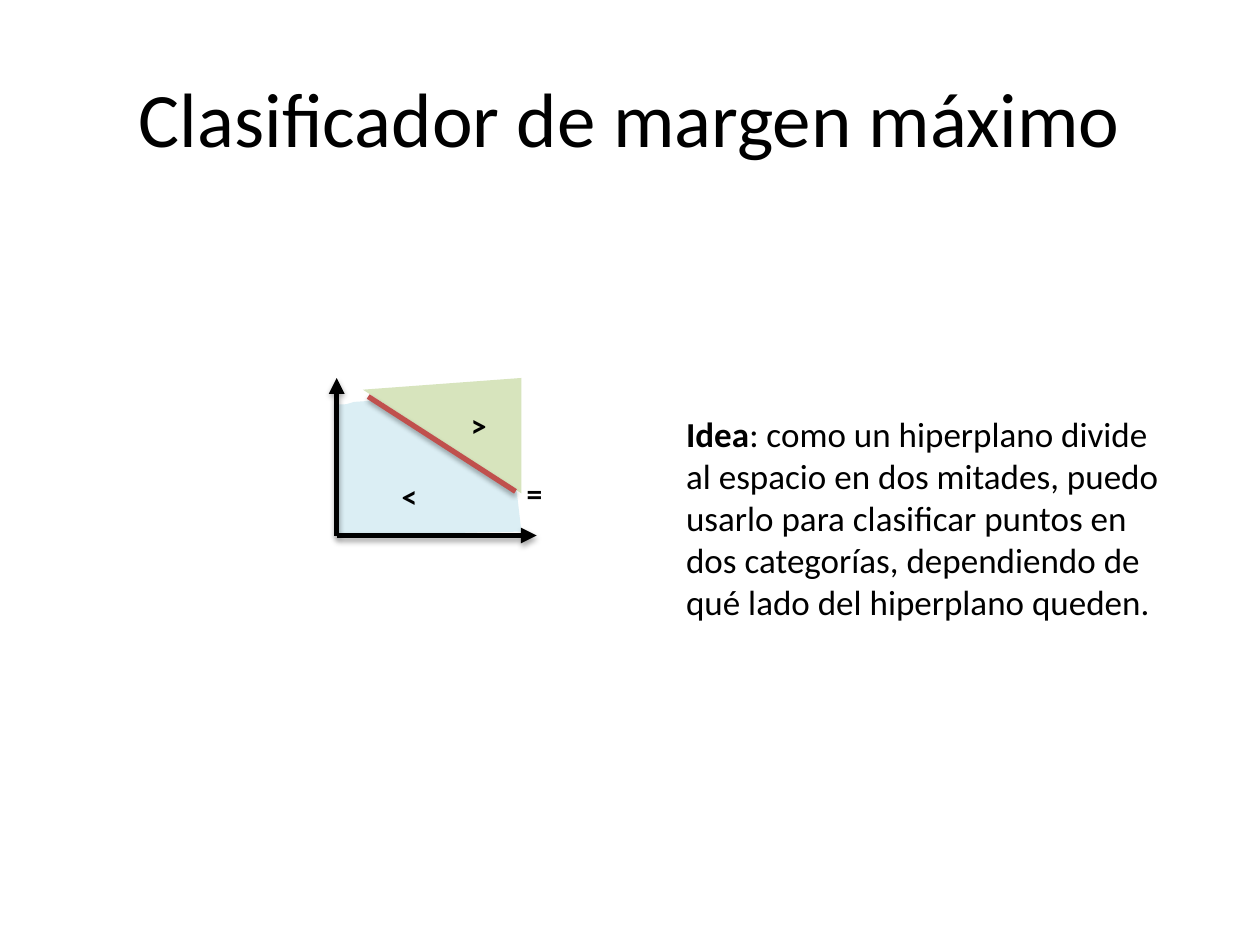
from dataclasses import dataclass

from lxml.etree import SubElement
from pptx import Presentation
from pptx.dml.color import RGBColor as RGB
from pptx.enum.shapes import MSO_CONNECTOR as Connector
from pptx.enum.text import MSO_ANCHOR as Anchor, MSO_AUTO_SIZE as AutoSize, PP_ALIGN as Align
from pptx.oxml import parse_xml
from pptx.oxml.ns import nsdecls, qn
from pptx.util import Pt


@dataclass(frozen=True)
class Theme:
    font: str = "Calibri"
    ink: RGB = RGB(0x00, 0x00, 0x00)
    above: RGB = RGB(0xD7, 0xE4, 0xBD)
    below: RGB = RGB(0xDB, 0xEE, 0xF4)
    boundary: RGB = RGB(0xC0, 0x50, 0x4D)
    title: int = 44
    idea: int = 20
    sign: int = 18


theme = Theme()

SHADOW = (
    f'<a:effectLst {nsdecls("a")}>'
    '<a:outerShdw blurRad="40000" dist="23000" dir="5400000" rotWithShape="0">'
    '<a:srgbClr val="000000"><a:alpha val="35000"/></a:srgbClr>'
    '</a:outerShdw></a:effectLst>'
)


def style_run(run, size, bold=False):
    run.font.name = theme.font
    run.font.size = Pt(size)
    run.font.bold = bold
    run.font.color.rgb = theme.ink


def add_text(left, top, width, height, parts, size):
    box = slide.shapes.add_textbox(Pt(left), Pt(top), Pt(width), Pt(height))
    frame = box.text_frame
    frame.word_wrap = True
    frame.auto_size = AutoSize.SHAPE_TO_FIT_TEXT
    for words, bold in parts:
        run = frame.paragraphs[0].add_run()
        run.text = words
        style_run(run, size, bold)


deck = Presentation()
deck.slide_width, deck.slide_height = Pt(720), Pt(540)
slide = deck.slides.add_slide(deck.slide_layouts[5])

title = slide.shapes.title
title.left, title.top, title.width, title.height = Pt(36), Pt(21.6), Pt(648), Pt(90)
title.text_frame.text = "Clasificador de margen máximo"
title.text_frame.vertical_anchor = Anchor.MIDDLE
heading = title.text_frame.paragraphs[0]
heading.alignment = Align.CENTER
style_run(heading.runs[0], theme.title)

half_spaces = [
    (theme.above, [(207.4, 222.7), (298, 216), (298, 282)]),
    (theme.below, [(212.4, 229), (202.3, 229.7), (198, 231), (190.8, 231.3),
                   (191.5, 306), (298, 303.8), (295.2, 280)]),
]
for color, corners in half_spaces:
    start, *others = [(Pt(x), Pt(y)) for x, y in corners]
    outline = slide.shapes.build_freeform(*start)
    outline.add_line_segments(others, close=True)
    region = outline.convert_to_shape()
    region.shadow.inherit = False
    region.fill.solid()
    region.fill.fore_color.rgb = color
    region.line.fill.background()

origin = (192.4, 306)
strokes = [
    (origin, (192.4, 216), theme.ink, True),
    (origin, (306.6, 306), theme.ink, True),
    ((210.4, 226.6), (294.6, 280.8), theme.boundary, False),
]
for begin, end, color, is_axis in strokes:
    stroke = slide.shapes.add_connector(Connector.STRAIGHT, *map(Pt, begin + end))
    stroke.line.color.rgb = color
    stroke.line.width = Pt(3)
    if is_axis:
        SubElement(stroke.line._get_or_add_ln(), qn("a:tailEnd"), type="triangle")
    stroke._element.spPr.append(parse_xml(SHADOW))

for sign, left, top in [(">", 262, 228.4), ("<", 222.4, 268.8), ("=", 293.8, 267.2)]:
    add_text(left, top, 72, 29, [(sign, True)], theme.sign)

idea = [
    ("Idea", True),
    (": como un hiperplano divide al espacio en dos mitades, puedo usarlo para clasificar "
     "puntos en dos categorías, dependiendo de qué lado del hiperplano queden.", False),
]
add_text(385, 232, 291, 128, idea, theme.idea)

deck.save("out.pptx")
